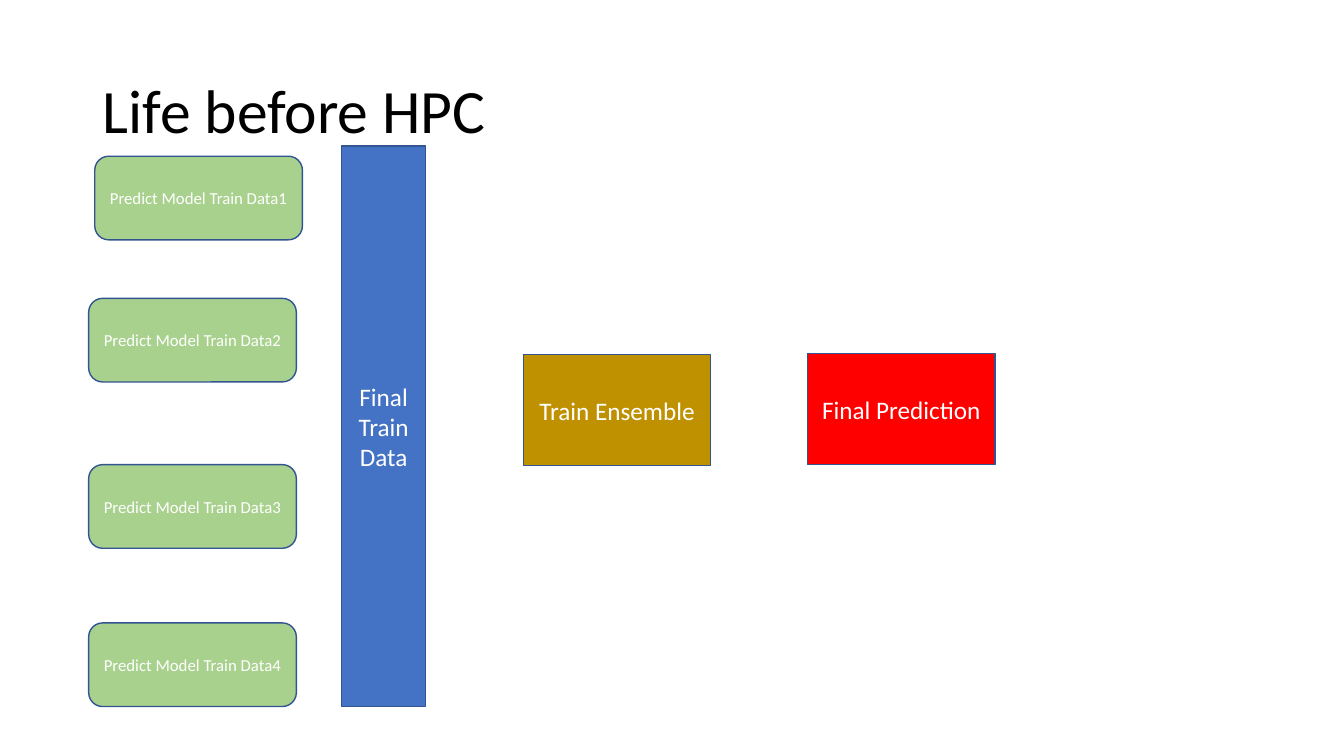
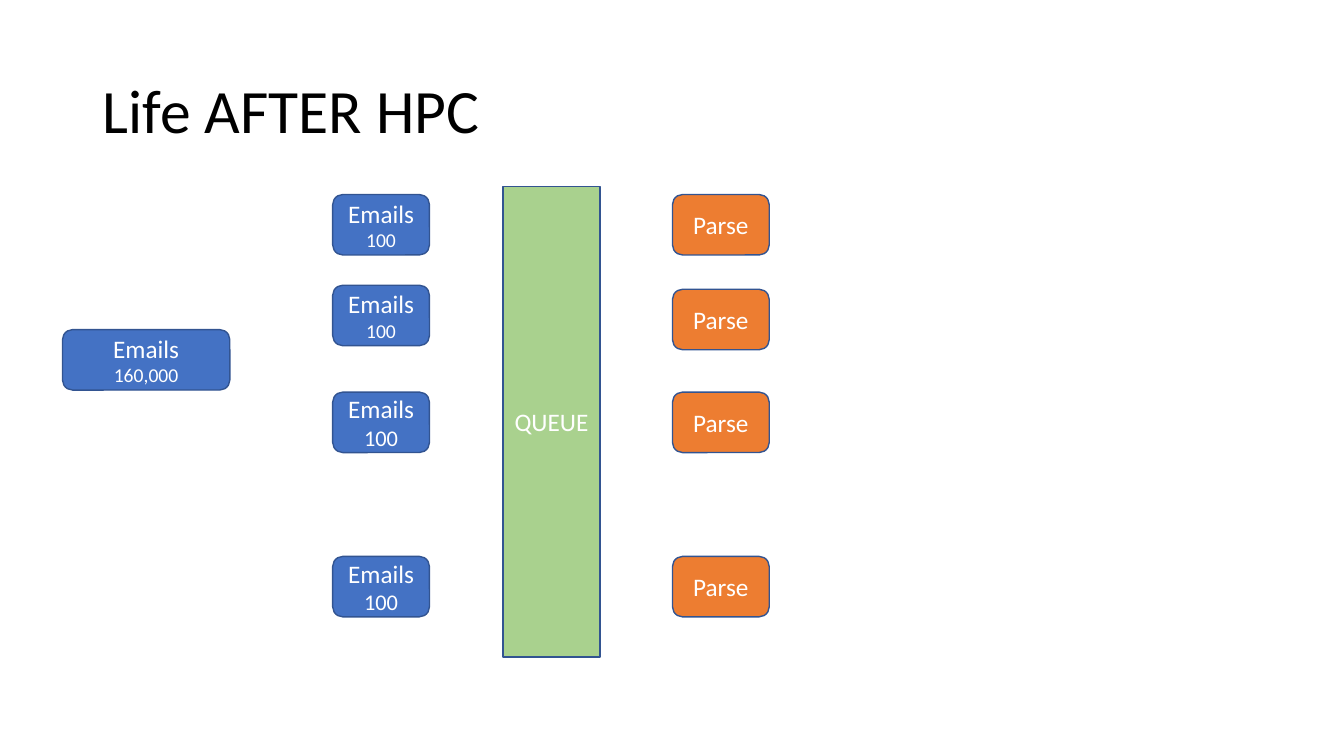
import dataclasses

import pptx
import pptx.dml.color
import pptx.enum.shapes
import pptx.enum.text
import pptx.util

PX = 9144
RECT = pptx.enum.shapes.MSO_SHAPE.RECTANGLE
ROUNDED = pptx.enum.shapes.MSO_SHAPE.ROUNDED_RECTANGLE
ALIGN = pptx.enum.text.PP_ALIGN
ANCHOR = pptx.enum.text.MSO_ANCHOR


@dataclasses.dataclass(frozen=True)
class Theme:
    font: str = "Calibri"
    ink: str = "000000"
    white: str = "FFFFFF"
    outline: str = "325491"
    green: str = "A9D18E"
    blue: str = "4472C4"
    gold: str = "BF9000"
    red: str = "FF0000"
    orange: str = "ED7D31"
    title: int = 44
    body: int = 18
    count: int = 16
    small_count: int = 14
    label: int = 12


def px(*lengths):
    return [pptx.util.Emu(n * PX) for n in lengths]


def rgb(value):
    return pptx.dml.color.RGBColor.from_string(value)


class Deck:
    def __init__(self, theme):
        self.theme = theme
        self.prs = pptx.Presentation()
        self.prs.slide_width, self.prs.slide_height = px(1333, 750)
        self.s = None

    def style(self, p, size, color, align):
        p.alignment = align
        for r in p.runs:
            r.font.name = self.theme.font
            r.font.size = pptx.util.Pt(size)
            r.font.color.rgb = rgb(color)

    def slide(self, title):
        self.s = self.prs.slides.add_slide(self.prs.slide_layouts[5])
        sp = self.s.shapes.title
        sp.left, sp.top, sp.width, sp.height = px(92, 40, 1150, 145)
        tf = sp.text_frame
        tf.text = title
        tf.word_wrap = True
        tf.auto_size = pptx.enum.text.MSO_AUTO_SIZE.NONE
        tf.vertical_anchor = ANCHOR.MIDDLE
        p = tf.paragraphs[0]
        p.line_spacing = 0.9
        self.style(p, self.theme.title, self.theme.ink, ALIGN.LEFT)

    def box(self, kind, at, fill, text, sizes=(Theme.body,)):
        sp = self.s.shapes.add_shape(kind, *px(*at))
        sp.shadow.inherit = False
        sp.fill.solid()
        sp.fill.fore_color.rgb = rgb(fill)
        sp.line.color.rgb = rgb(self.theme.outline)
        sp.line.width = pptx.util.Pt(1)
        tf = sp.text_frame
        tf.text = text
        tf.word_wrap = True
        tf.vertical_anchor = ANCHOR.MIDDLE
        for p, size in zip(tf.paragraphs, sizes):
            self.style(p, size, self.theme.white, ALIGN.CENTER)

    def emails(self, left, top, width, count, count_size):
        self.box(ROUNDED, (left, top, width, 60), self.theme.blue,
                 f"Emails\n{count}", (self.theme.body, count_size))


def before_hpc(deck):
    t = deck.theme
    deck.slide("Life before HPC")
    models = [(94, 155), (88, 296), (88, 461), (88, 618)]
    for number, (left, top) in enumerate(models, 1):
        deck.box(ROUNDED, (left, top, 206, 83), t.green,
                 f"Predict Model Train Data{number}", (t.label,))
    deck.box(RECT, (339, 145, 83, 556), t.blue, "Final Train Data")
    deck.box(RECT, (519, 352, 186, 110), t.gold, "Train Ensemble")
    deck.box(RECT, (801, 351, 186, 110), t.red, "Final Prediction")


def after_hpc(deck):
    t = deck.theme
    deck.slide("Life AFTER HPC")
    deck.emails(62, 327, 166, "160,000", t.small_count)
    batches = [(193, t.small_count), (283, t.small_count),
               (389, t.count), (552, t.count)]
    for top, size in batches:
        deck.emails(330, top, 96, "100", size)
    deck.box(RECT, (499, 185, 96, 467), t.green, "QUEUE")
    for top in (193, 287, 389, 552):
        deck.box(ROUNDED, (667, top, 96, 60), t.orange, "Parse")


def main():
    deck = Deck(Theme())
    before_hpc(deck)
    after_hpc(deck)
    deck.prs.save("out.pptx")


if __name__ == "__main__":
    main()
